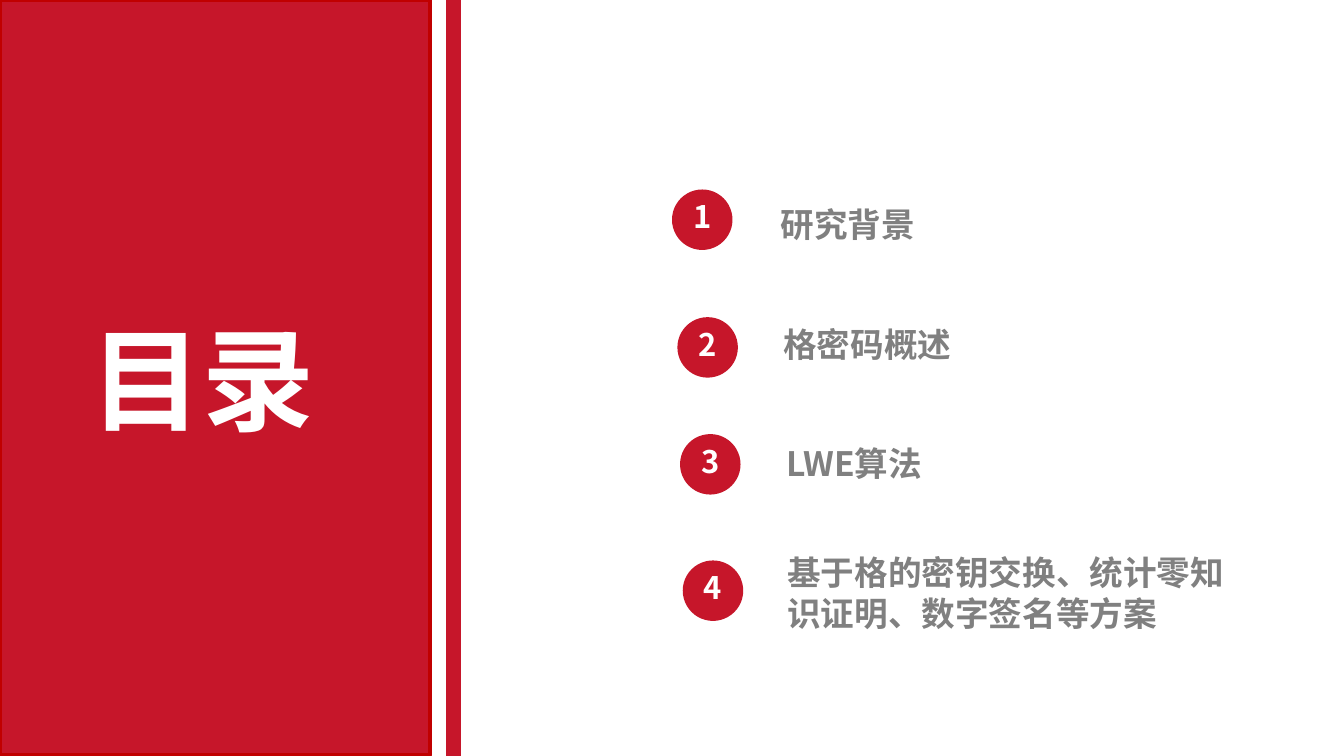
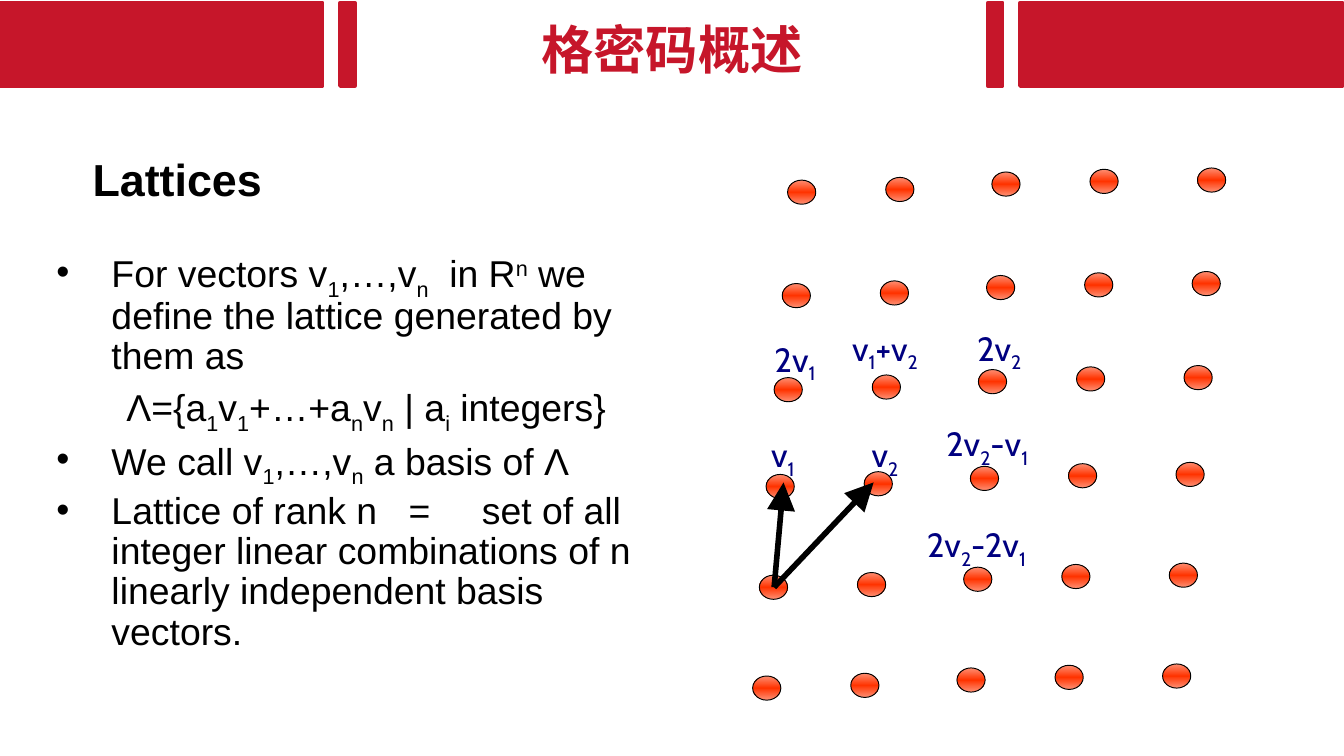
from copy import deepcopy
from itertools import product

from lxml.etree import SubElement
from pptx import Presentation
from pptx.dml.color import RGBColor
from pptx.enum.shapes import MSO_CONNECTOR, MSO_SHAPE
from pptx.enum.text import MSO_ANCHOR, PP_ALIGN
from pptx.oxml.ns import qn
from pptx.util import Emu, Pt

SCALE = 9144
SLIDE_WIDTH = 1000
PANEL_BOX = (0, 0, 342, 562)
COLORS = {
    "red": "C6162A",
    "dark_red": "C00000",
    "white": "FFFFFF",
    "gray": "808080",
    "black": "000000",
    "navy": "000080",
    "dot_edge": "FE8F73",
    "dot_middle": "FF3300",
}
CHINESE = "Noto Sans CJK SC"
FONTS = {
    "contents": {"name": CHINESE, "size": Pt(60), "bold": True, "color": "white"},
    "title": {"name": CHINESE, "size": Pt(28), "bold": True, "color": "red"},
    "number": {"name": CHINESE, "size": Pt(16.6), "bold": True, "color": "white"},
    "entry": {"name": CHINESE, "size": Pt(18), "bold": True, "color": "gray"},
    "heading": {"name": "Arial", "size": Pt(24), "bold": True, "color": "black"},
    "body": {"name": "Arial", "size": Pt(20), "color": "black"},
    "vector": {"name": "Cabin", "size": Pt(18), "color": "navy"},
}
RUN_MARKS = {
    "_": {"baseline": "-25000"},
    "^": {"baseline": "30000"},
    "~": {"spc": "550"},
    "=": {"spc": "1100"},
}
CENTER = {"alignment": PP_ALIGN.CENTER}
NARROW, WIDE, SLIM, BROAD = (8, 4, 8, 4), (10, 5, 10, 5), (3, 0, 0, 0), (11, 6, 11, 6)

ENTRIES = [
    ((500, 141, 45, 45), "研究背景", (78, -9, 293, 63), True),
    ((504, 236, 45, 45), "格密码概述", (69, 0, 179, 84), False),
    ((506, 323, 45, 45), "LWE算法", (76, -13, 293, 63), True),
    ((508, 417, 45, 45), "基于格的密钥交换、统计零知识证明、数字签名等方案", (68, -11, 353, 84), False),
]
DEFINITIONS = [
    (["For vectors v", "_1", ",…,v", "_n", "~ ", "in R", "^n",
      " we define the lattice generated by them as"], True),
    (["Λ={a", "_1", "v", "_1", "+…+a", "_n", "v", "_n", " | a", "_i", " integers}"], False),
    (["We call v", "_1", ",…,v", "_n", " a basis of Λ"], True),
    (["Lattice of rank n", "= ", "==", "= ", "set of all integer linear combinations of n "
      "linearly independent basis vectors."], True),
]
LATTICE_ROWS = [(26, 9), (22, 86), (16, 156), (10, 228), (5, 303), (0, 378)]
LATTICE_COLUMNS = [(0, 0), (73, -2), (152, -6), (225, -8), (305, -9)]
VECTOR_ORIGIN = (16, 312)
VECTOR_ENDS = [(90, 234), (23, 234)]
VECTOR_LABELS = [
    ((-28, 192, 101, 45), ["v", "_1"]),
    ((48, 192, 101, 45), ["v", "_2"]),
    ((-19, 121, 101, 45), ["2v", "_1"]),
    ((48, 113, 101, 45), ["v", "_1", "+v", "_2"]),
    ((133, 113, 101, 45), ["2v", "_2"]),
    ((124, 184, 101, 45), ["2v", "_2", "-v", "_1"]),
    ((99, 259, 135, 45), ["2v", "_2", "-2v", "_1"]),
]


def px(*lengths):
    """Turn pixel lengths into EMU."""
    return [Emu(length * SCALE) for length in lengths]


def inside(box, part):
    """Move a part by the corner of the box that holds it."""
    return (box[0] + part[0], box[1] + part[1], *part[2:])


def rgb(color):
    """Look up a named colour."""
    return RGBColor.from_string(COLORS[color])


def set_attributes(target, values):
    """Set each named attribute of the target."""
    for name, value in values.items():
        setattr(target, name, value)


def write_runs(paragraph, pieces, style):
    """Write text pieces, formatting those that a run mark leads."""
    values = dict(FONTS[style])
    color = values.pop("color")
    for piece in pieces:
        mark = RUN_MARKS.get(piece[0], {})
        run = paragraph.add_run()
        run.text = piece[1:] if mark else piece
        set_attributes(run.font, values)
        run.font.color.rgb = rgb(color)
        properties = run._r.get_or_add_rPr()
        SubElement(properties, qn("a:ea"), typeface=values["name"])
        for name, value in mark.items():
            properties.set(name, value)


def prepare_frame(shape, insets, anchor=MSO_ANCHOR.TOP):
    """Give a text frame its wrapping, anchor and insets."""
    frame = shape.text_frame
    sides = ("margin_left", "margin_top", "margin_right", "margin_bottom")
    set_attributes(frame, {"word_wrap": True, "vertical_anchor": anchor,
                           **dict(zip(sides, px(*insets)))})
    return frame


def add_text(shapes, box, pieces, style, insets=NARROW, anchor=MSO_ANCHOR.TOP, layout=None):
    """Add a text box with one paragraph."""
    frame = prepare_frame(shapes.add_textbox(*px(*box)), insets, anchor)
    set_attributes(frame.paragraphs[0], layout or {})
    write_runs(frame.paragraphs[0], pieces, style)


def add_block(shapes, box, kind=MSO_SHAPE.RECTANGLE, line="red", width=2):
    """Add a red preset shape, outlined unless line is None."""
    shape = shapes.add_shape(kind, *px(*box))
    shape.shadow.inherit = False
    shape.fill.solid()
    shape.fill.fore_color.rgb = rgb("red")
    if line:
        shape.line.color.rgb = rgb(line)
        shape.line.width = Pt(width)
    else:
        shape.line.fill.background()
    return shape


def draw_contents_panel(slide, box):
    """Draw the red side panel with its title and stripe."""
    width, height = box[2:]
    add_block(slide.shapes, inside(box, (0, 0, 320, height)), line="dark_red")
    add_block(slide.shapes, inside(box, (width - 9, 0, 9, height)))
    add_text(slide.shapes, inside(box, (0, 227, 320, 107)), ["目录"], "contents",
             (8, 4, 26, 4), layout=CENTER)


def draw_entry(slide, box, number, text, label, centered):
    """Draw a numbered disc in the box and its label beside it."""
    disc = add_block(slide.shapes, box, MSO_SHAPE.OVAL, line=None)
    paragraph = prepare_frame(disc, NARROW, MSO_ANCHOR.MIDDLE).paragraphs[0]
    set_attributes(paragraph, {**CENTER, "line_spacing": 0.8})
    write_runs(paragraph, [str(number)], "number")
    if centered:
        add_text(slide.shapes, inside(box, label), [text], "entry", SLIM,
                 MSO_ANCHOR.MIDDLE, {"line_spacing": 1.2})
    else:
        add_text(slide.shapes, inside(box, label), [text], "entry", WIDE)


def draw_header(slide, box, title):
    """Draw mirrored red bands around a centred title."""
    for left, width in ((0, 240), (253, 11)):
        for start in (left, box[2] - left - width):
            add_block(slide.shapes, inside(box, (start, 0, width, box[3])))
    add_text(slide.shapes, inside(box, (257, 7, 486, 54)), [title], "title", layout=CENTER)


def draw_definitions(slide, box):
    """Write the bulleted definitions and the formula."""
    frame = prepare_frame(slide.shapes.add_textbox(*px(*box)), BROAD)
    for index, (pieces, bulleted) in enumerate(DEFINITIONS):
        paragraph = frame.add_paragraph() if index else frame.paragraphs[0]
        properties = paragraph._p.get_or_add_pPr()
        margin, indent = px(41, -41) if bulleted else px(52, 0)
        properties.set("marL", str(margin))
        properties.set("indent", str(indent))
        if bulleted:
            SubElement(properties, qn("a:buFont"), typeface="Arial")
            SubElement(properties, qn("a:buChar"), char="•")
        set_attributes(paragraph, {"line_spacing": 0.9, "space_before": Pt(4 if index else 0)})
        write_runs(paragraph, pieces, "body")


def add_dot(shapes, box):
    """Add a lattice point with a banded gradient."""
    dot = add_block(shapes, box, MSO_SHAPE.OVAL, "black", 0.5)
    dot.fill.gradient()
    dot.fill.gradient_angle = 270
    stop_list = dot._element.spPr.find(".//" + qn("a:gsLst"))
    stop_list.append(deepcopy(stop_list[0]))
    colors = ("dot_edge", "dot_middle", "dot_edge")
    for stop, position, color in zip(dot.fill.gradient_stops, (0, 0.5, 1), colors):
        stop.position = position
        stop.color.rgb = rgb(color)


def add_arrow(shapes, start, end):
    """Add a thick black arrow with a large head."""
    arrow = shapes.add_connector(MSO_CONNECTOR.STRAIGHT, *px(*start, *end))
    arrow.line.color.rgb = rgb("black")
    arrow.line.width = Pt(3)
    SubElement(arrow.line._get_or_add_ln(), qn("a:tailEnd"), type="triangle", w="lg", len="lg")
    SubElement(arrow._element.spPr, qn("a:effectLst"))


def draw_lattice(slide, box):
    """Draw the lattice points, basis vectors and labels as one group."""
    shapes = slide.shapes.add_group_shape().shapes
    for row, column in product(LATTICE_ROWS, LATTICE_COLUMNS):
        add_dot(shapes, inside(box, (*inside(row, column), 21, 18)))
    for end in VECTOR_ENDS:
        add_arrow(shapes, inside(box, VECTOR_ORIGIN), inside(box, end))
    for label, pieces in VECTOR_LABELS:
        add_text(shapes, inside(box, label), pieces, "vector", BROAD, layout=CENTER)


def build_contents(slide):
    """Build the contents slide."""
    draw_contents_panel(slide, PANEL_BOX)
    for number, (box, text, label, centered) in enumerate(ENTRIES, 1):
        draw_entry(slide, box, number, text, label, centered)


def build_lattices(slide):
    """Build the slide on lattices."""
    draw_header(slide, (0, 2, 999, 62), "格密码概述")
    add_text(slide.shapes, (59, 108, 275, 47), ["Lattices"], "heading", WIDE)
    draw_definitions(slide, (31, 181, 469, 315))
    draw_lattice(slide, (560, 125, 352, 396))


def main():
    """Build and save the presentation."""
    presentation = Presentation()
    presentation.slide_width = Emu(SLIDE_WIDTH * SCALE)
    presentation.slide_height = Emu(SLIDE_WIDTH * SCALE * 9 // 16)
    for build in (build_contents, build_lattices):
        build(presentation.slides.add_slide(presentation.slide_layouts[6]))
    presentation.save("out.pptx")


if __name__ == "__main__":
    main()
